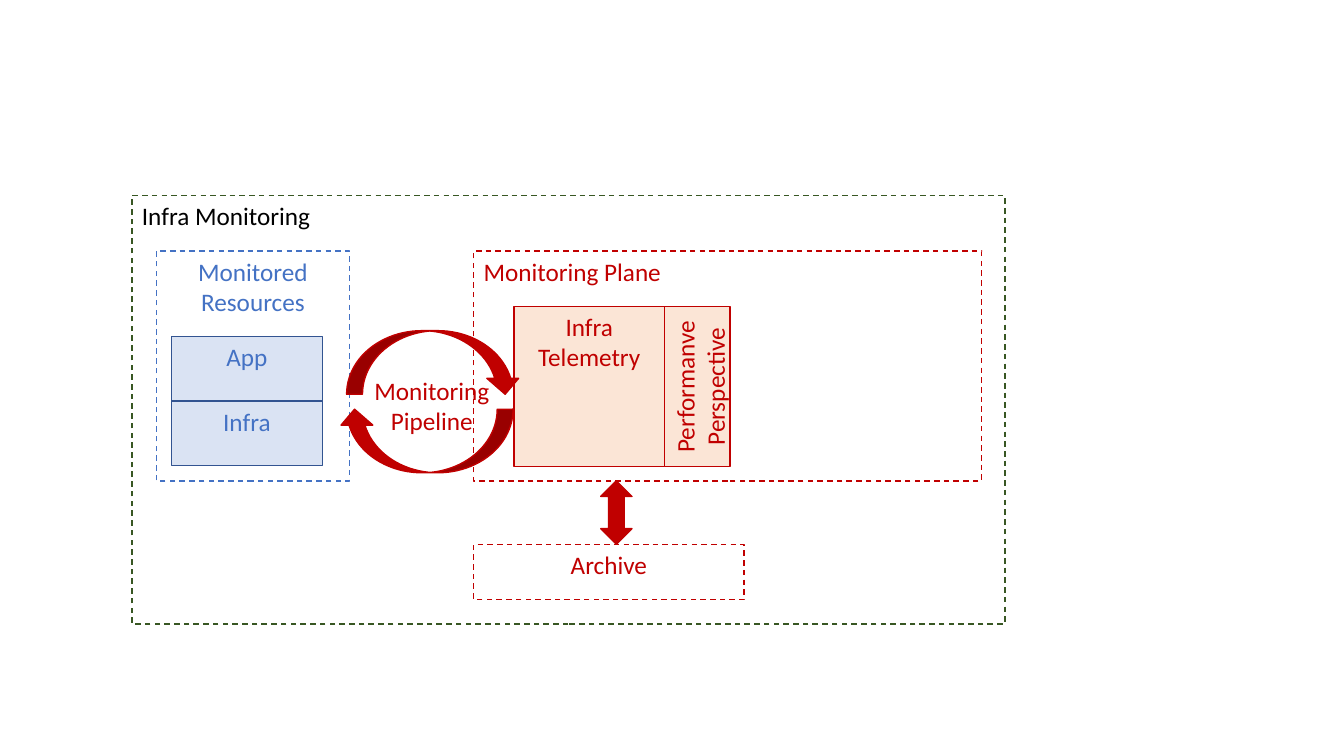
import pptx
import pptx.dml.color
import pptx.enum.dml
import pptx.enum.shapes
import pptx.enum.text
import pptx.util

Pt = pptx.util.Pt
SHAPE = pptx.enum.shapes.MSO_SHAPE
ALIGN = pptx.enum.text.PP_ALIGN
RED = "C00000"
BLUE = "4472C4"
PEACH = "FBE5D6"
WHITE = "FFFFFF"


def rgb(hex_code):
    return pptx.dml.color.RGBColor.from_string(hex_code)


def write(frame, text, color=RED, size=18, align=ALIGN.CENTER):
    frame.word_wrap = True
    frame.vertical_anchor = pptx.enum.text.MSO_ANCHOR.TOP
    frame.text = text
    for paragraph in frame.paragraphs:
        paragraph.alignment = align
        paragraph.font.name = "Calibri"
        paragraph.font.size = Pt(size)
        paragraph.font.color.rgb = rgb(color)


def draw(shapes, kind, box, line=RED, fill=None, dashed=False, rotation=0):
    part = shapes.add_shape(kind, *(Pt(length) for length in box))
    part.shadow.inherit = False
    part.rotation = rotation
    if fill:
        part.fill.solid()
        part.fill.fore_color.rgb = rgb(fill)
    else:
        part.fill.background()
    part.line.color.rgb = rgb(line)
    part.line.width = Pt(1)
    if dashed:
        part.line.dash_style = pptx.enum.dml.MSO_LINE.DASH
    return part


def infra_monitoring(shapes, box):
    area = draw(shapes, SHAPE.RECTANGLE, box, line="385723", dashed=True)
    write(area.text_frame, "Infra Monitoring", color="000000", align=ALIGN.LEFT)


def monitored_resources(shapes, box):
    left, top, width, height = box
    area = draw(shapes, SHAPE.RECTANGLE, box, line=BLUE, fill=WHITE, dashed=True)
    write(area.text_frame, "Monitored Resources", color=BLUE)
    layer_height = 46
    for row, name in enumerate(("App", "Infra")):
        layer_box = (left + 10.8, top + 61.2 + row * layer_height, 108, layer_height)
        layer = draw(shapes, SHAPE.RECTANGLE, layer_box, line="325491", fill="DAE3F3")
        write(layer.text_frame, name, color=BLUE)


def monitoring_plane(shapes, box):
    left, top, width, height = box
    area = draw(shapes, SHAPE.RECTANGLE, box, dashed=True)
    write(area.text_frame, "Monitoring Plane", align=ALIGN.LEFT)

    inner_left, inner_top = left + 28.8, top + 39.6
    telemetry_width, perspective_width, inner_height = 107.5, 46.8, 114.5
    telemetry = draw(shapes, SHAPE.RECTANGLE,
                     (inner_left, inner_top, telemetry_width, inner_height), fill=PEACH)
    write(telemetry.text_frame, "Infra\nTelemetry")

    turn_shift = (inner_height - perspective_width) / 2
    perspective_box = (inner_left + telemetry_width - turn_shift,
                       inner_top + turn_shift, inner_height, perspective_width)
    perspective = draw(shapes, SHAPE.RECTANGLE, perspective_box, fill=PEACH, rotation=270)
    write(perspective.text_frame, "Performanve Perspective")


def archive(shapes, box, plane_bottom):
    left, top, width, height = box
    store = draw(shapes, SHAPE.RECTANGLE, box, fill=WHITE, dashed=True)
    write(store.text_frame, "Archive")
    draw(shapes, SHAPE.UP_DOWN_ARROW,
         (left + 90.7, plane_bottom, 22.3, top - plane_bottom), fill=RED)


def monitoring_pipeline(shapes, box):
    left, top, width, height = box
    loop = shapes.add_group_shape().shapes
    arrow_width, arrow_height = 124.6, 45.4
    draw(loop, SHAPE.CURVED_DOWN_ARROW,
         (left + width - arrow_width, top, arrow_width, arrow_height), fill=RED)
    draw(loop, SHAPE.CURVED_DOWN_ARROW,
         (left, top + height - arrow_height, arrow_width, arrow_height),
         fill=RED, rotation=180)
    label = loop.add_textbox(Pt(left + 4.3), Pt(top + 28), Pt(arrow_width), Pt(51))
    write(label.text_frame, "Monitoring\nPipeline")
    label.text_frame.auto_size = pptx.enum.text.MSO_AUTO_SIZE.SHAPE_TO_FIT_TEXT


def main():
    deck = pptx.Presentation()
    deck.slide_width, deck.slide_height = Pt(960), Pt(540)
    shapes = deck.slides.add_slide(deck.slide_layouts[6]).shapes

    area_top, area_height, plane_left = 179.3, 164.2, 338.4
    infra_monitoring(shapes, (94.3, 139.7, 623.5, 306))
    monitored_resources(shapes, (111.6, area_top, 138.2, area_height))
    monitoring_plane(shapes, (plane_left, area_top, 362.9, area_height))
    archive(shapes, (plane_left, 388.8, 193, 39.6), area_top + area_height)
    monitoring_pipeline(shapes, (241.9, 236.2, 130.3, 101.5))
    deck.save("out.pptx")


if __name__ == "__main__":
    main()
